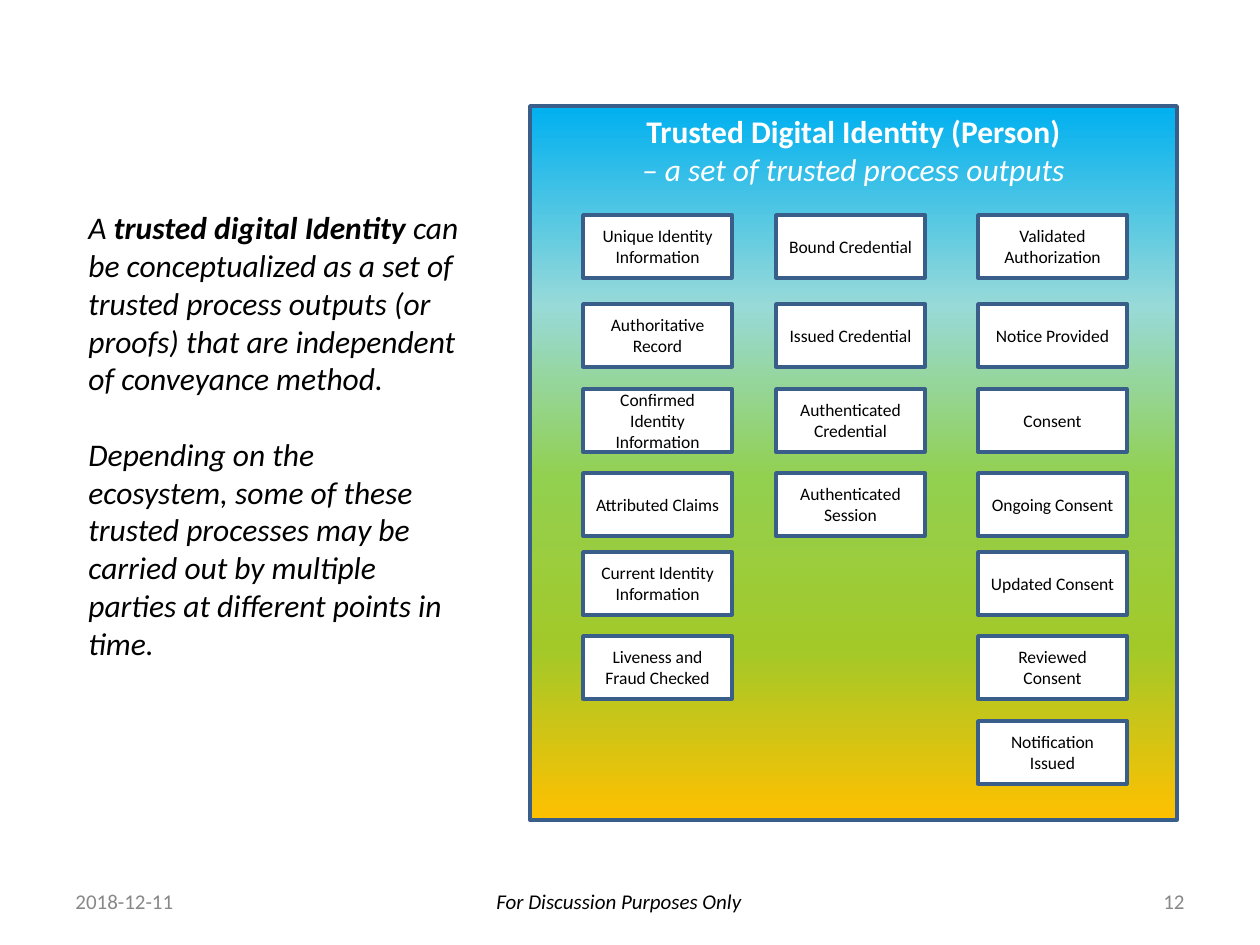
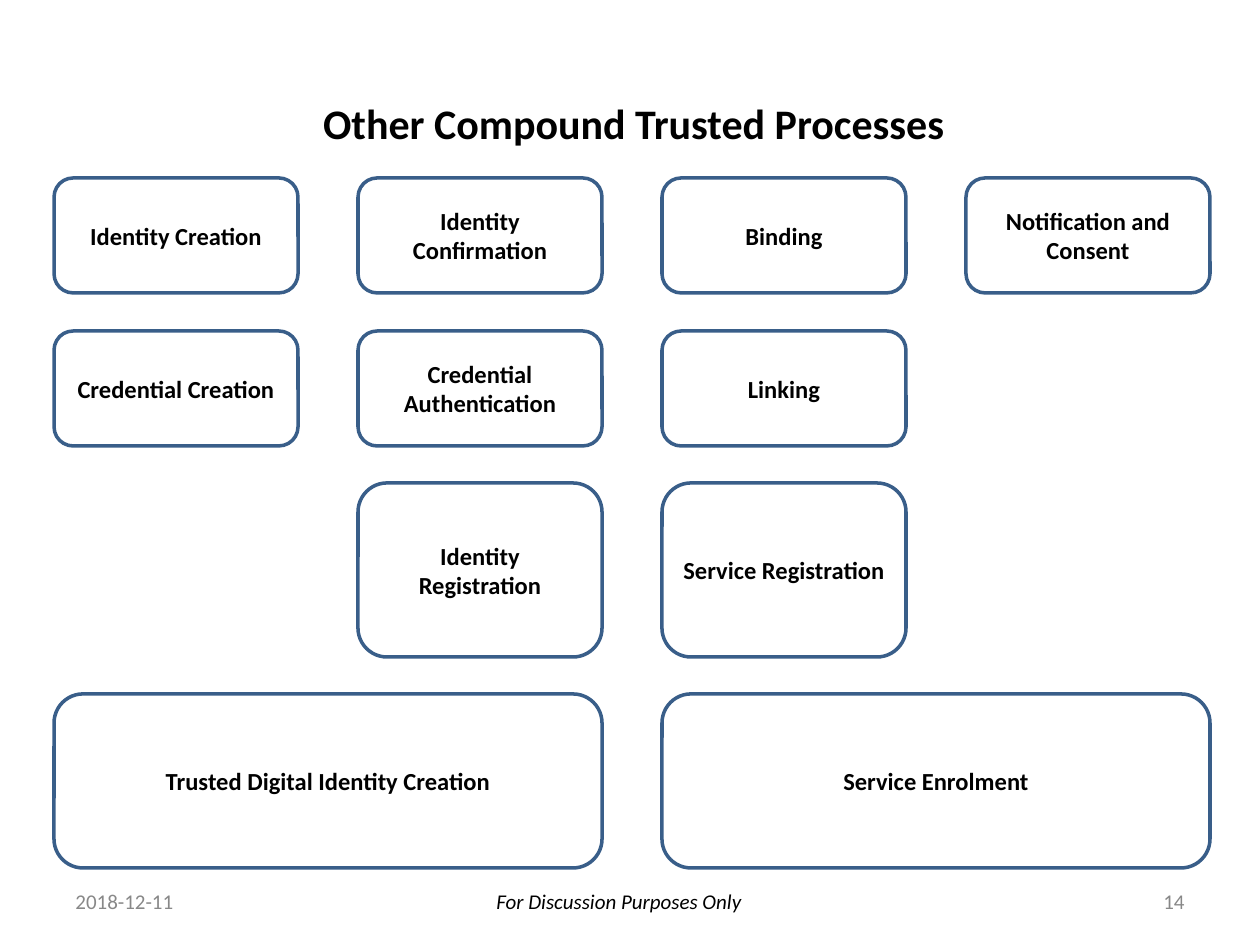
from dataclasses import dataclass

from lxml.etree import SubElement
from pptx import Presentation
from pptx.dml.color import RGBColor
from pptx.enum.shapes import MSO_SHAPE
from pptx.enum.text import MSO_ANCHOR, MSO_AUTO_SIZE, PP_ALIGN
from pptx.oxml.ns import qn
from pptx.util import Emu, Pt

PX_PER_INCH = 126


@dataclass(frozen=True)
class Theme:
    font: str = "Calibri"
    ink: str = "000000"
    white: str = "FFFFFF"
    muted: str = "888888"
    outline: str = "395E89"
    outline_width: int = 2
    gradient: tuple = ((0, "00B0F0"), (28, "98DAD8"), (52, "92D050"),
                       (76, "A3C929"), (100, "FFC000"))
    title: int = 24
    body: int = 18
    process: int = 14
    footer: int = 12
    output: int = 10


THEME = Theme()
TITLE_ONLY, BLANK = 5, 6

OUTPUT_ROW_TOPS = (215, 304, 389, 473, 552, 636, 721)
OUTPUT_COLUMNS = {
    583: ("Unique Identity Information", "Authoritative Record",
          "Confirmed Identity Information", "Attributed Claims",
          "Current Identity Information", "Liveness and Fraud Checked"),
    776: ("Bound Credential", "Issued Credential",
          "Authenticated Credential", "Authenticated Session"),
    978: ("Validated Authorization", "Notice Provided", "Consent",
          "Ongoing Consent", "Updated Consent", "Reviewed Consent",
          "Notification Issued"),
}

PROCESS_LEFT, PROCESS_PITCH, PROCESS_WIDTH = 54, 304, 244
# (top, height, ((first column, columns spanned, label), ...))
PROCESS_ROWS = (
    (178, 115, ((0, 1, "Identity Creation"), (1, 1, "Identity Confirmation"),
                (2, 1, "Binding"), (3, 1, "Notification and Consent"))),
    (331, 115, ((0, 1, "Credential Creation"),
                (1, 1, "Credential Authentication"), (2, 1, "Linking"))),
    (483, 174, ((1, 1, "Identity Registration"),
                (2, 1, "Service Registration"))),
    (694, 174, ((0, 2, "Trusted Digital Identity Creation"),
                (2, 2, "Service Enrolment"))),
)


def px(n):
    return Emu(round(n * 914400 / PX_PER_INCH))


def rgb(value):
    return RGBColor.from_string(value)


def write(sp, *paragraphs, size, color=THEME.ink, bold=False, italic=False,
          align=PP_ALIGN.LEFT, anchor=MSO_ANCHOR.MIDDLE, gap=0):
    """Fill a shape; a paragraph is a string or a list of runs.

    A run is a string or (string, bold, italic); "\\n" is a line break.
    """
    tf = sp.text_frame
    tf.word_wrap = True
    tf.auto_size = MSO_AUTO_SIZE.NONE
    tf.vertical_anchor = anchor
    for i, runs in enumerate(paragraphs):
        p = tf.add_paragraph() if i else tf.paragraphs[0]
        p.alignment = align
        if i:
            p.space_before = Pt(gap)
        for run in [runs] if isinstance(runs, str) else runs:
            if run == "\n":
                p.add_line_break()
                continue
            text, b, it = (run, bold, italic) if isinstance(run, str) else run
            r = p.add_run()
            r.text = text
            r.font.name = THEME.font
            r.font.size = Pt(size)
            r.font.bold, r.font.italic = b, it
            r.font.color.rgb = rgb(color)


def add_text(s, box, *paragraphs, **fmt):
    sp = s.shapes.add_textbox(*map(px, box))
    write(sp, *paragraphs, **fmt)
    return sp


def add_box(s, kind, box, *paragraphs, fill=None, **fmt):
    sp = s.shapes.add_shape(kind, *map(px, box))
    sp.shadow.inherit = False
    sp.line.color.rgb = rgb(THEME.outline)
    sp.line.width = Pt(THEME.outline_width)
    if fill:
        sp.fill.solid()
        sp.fill.fore_color.rgb = rgb(fill)
    else:
        sp.fill.background()
    write(sp, *paragraphs, align=PP_ALIGN.CENTER, **fmt)
    return sp


def fill_gradient(sp, stops):
    """Run the colour stops from top to bottom."""
    sp.fill.gradient()
    sp.fill.gradient_angle = 270
    stop_list = sp.element.find(".//" + qn("a:gsLst"))
    stop_list.clear()
    for percent, color in stops:
        stop = SubElement(stop_list, qn("a:gs"), pos=str(percent * 1000))
        SubElement(stop, qn("a:srgbClr"), val=color)


def add_footer(s, number):
    note = add_text(s, (397, 876, 444, 50), "For Discussion Purposes Only",
                    size=THEME.footer, italic=True, align=PP_ALIGN.CENTER,
                    anchor=MSO_ANCHOR.TOP)
    note.text_frame.margin_top = note.text_frame.margin_bottom = px(13)
    add_text(s, (63, 876, 294, 50), "2018-12-11",
             size=THEME.footer, color=THEME.muted)
    add_text(s, (903, 876, 294, 50), str(number), size=THEME.footer,
             color=THEME.muted, align=PP_ALIGN.RIGHT)


def add_slide(prs, layout, number):
    s = prs.slides.add_slide(prs.slide_layouts[layout])
    add_footer(s, number)
    return s


def build_identity_slide(prs):
    s = add_slide(prs, BLANK, 12)
    add_text(s, (76, 202, 397, 519),
             ["A ", ("trusted digital Identity", True, True),
              " can be conceptualized as a set of trusted process outputs "
              "(or proofs) that are independent of conveyance method."],
             "Depending on the ecosystem, some of these trusted processes "
             "may be carried out by multiple parties at different points "
             "in time.",
             size=THEME.body, italic=True, anchor=MSO_ANCHOR.TOP, gap=21.5)
    panel = add_box(s, MSO_SHAPE.RECTANGLE, (530, 106, 647, 714),
                    [("Trusted Digital Identity (Person)", True, False), "\n",
                     ("– a set of trusted process outputs", False, True)],
                    size=THEME.body, color=THEME.white,
                    anchor=MSO_ANCHOR.TOP)
    fill_gradient(panel, THEME.gradient)
    for left, labels in OUTPUT_COLUMNS.items():
        for top, label in zip(OUTPUT_ROW_TOPS, labels):
            add_box(s, MSO_SHAPE.RECTANGLE, (left, top, 149, 63), label,
                    fill=THEME.white, size=THEME.output)


def build_processes_slide(prs):
    s = add_slide(prs, TITLE_ONLY, 14)
    title = s.shapes.title
    title.left, title.top, title.width, title.height = map(
        px, (123, 91, 1031, 63))
    write(title, "Other Compound Trusted Processes ", size=THEME.title,
          bold=True, align=PP_ALIGN.CENTER)
    for top, height, processes in PROCESS_ROWS:
        for column, span, label in processes:
            left = PROCESS_LEFT + column * PROCESS_PITCH
            width = PROCESS_WIDTH + (span - 1) * PROCESS_PITCH
            add_box(s, MSO_SHAPE.ROUNDED_RECTANGLE,
                    (left, top, width, height), label,
                    size=THEME.process, bold=True)


def main():
    prs = Presentation()
    prs.slide_width, prs.slide_height = px(1260), px(945)
    build_identity_slide(prs)
    build_processes_slide(prs)
    prs.save("out.pptx")


if __name__ == "__main__":
    main()
